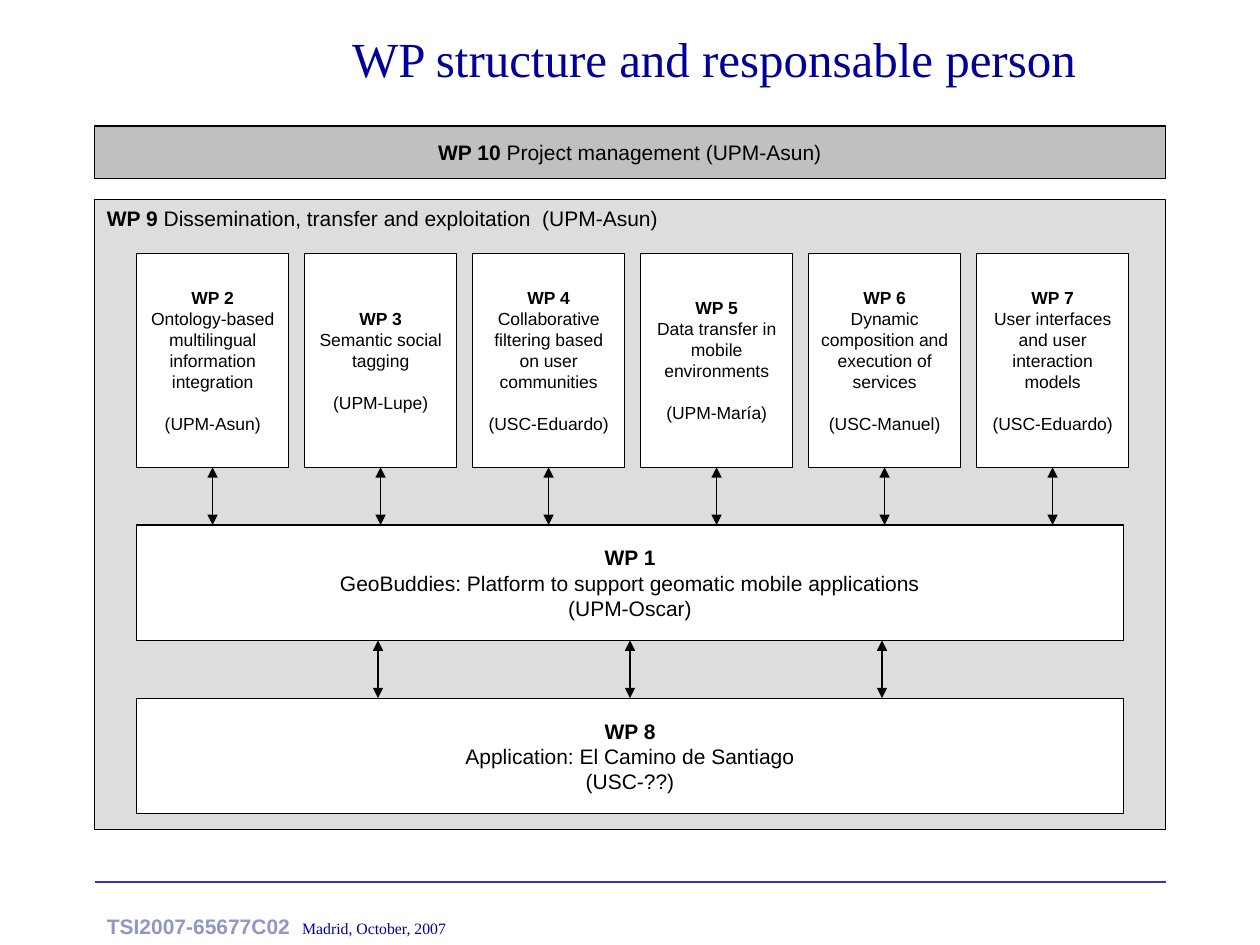
"""Build the slide on work packages and the people in charge of them."""
from lxml import etree
from pptx import Presentation, util as u
from pptx.dml.color import RGBColor
from pptx.enum import shapes, text
from pptx.oxml import ns

BLACK = RGBColor(0x00, 0x00, 0x00)
WHITE = RGBColor(0xFF, 0xFF, 0xFF)
PALE = RGBColor(0xDD, 0xDD, 0xDD)
GREY = RGBColor(0xC0, 0xC0, 0xC0)
NAVY = RGBColor(0x00, 0x00, 0x99)
BLUE = RGBColor(0x33, 0x33, 0xCC)
LILAC = RGBColor(0x90, 0x96, 0xCA)

UNIT = u.Inches(10) / 120
SANS, SERIF = "Arial", "Times New Roman"
MID, TOP = text.MSO_ANCHOR.MIDDLE, text.MSO_ANCHOR.TOP
CENTER, LEFT = text.PP_ALIGN.CENTER, text.PP_ALIGN.LEFT

TASKS = [
    ("WP 2", "Ontology-based", "multilingual information integration", "(UPM-Asun)"),
    ("WP 3", "Semantic social tagging", "(UPM-Lupe)"),
    ("WP 4", "Collaborative filtering based on user communities", "(USC-Eduardo)"),
    ("WP 5", "Data transfer in mobile environments", "(UPM-María)"),
    ("WP 6", "Dynamic composition and execution of services", "(USC-Manuel)"),
    ("WP 7", "User interfaces and user interaction models", "(USC-Eduardo)"),
]
BASE = ("WP 1", "GeoBuddies: Platform to support geomatic mobile applications", "(UPM-Oscar)")
CASE = ("WP 8", "Application: El Camino de Santiago", "(USC-??)")


def grid(*cells):
    """Turn columns and rows into lengths."""
    return [u.Emu(round(cell * UNIT)) for cell in cells]


def write(frame, lines, size=12, font=SANS, color=BLACK, align=CENTER,
          anchor=MID, wrap=True, gap=0):
    """Write lines of (words, format) runs into a text frame."""
    frame.word_wrap = wrap
    frame.auto_size = text.MSO_AUTO_SIZE.NONE
    frame.vertical_anchor = anchor
    for num, line in enumerate(lines):
        para = frame.add_paragraph() if num else frame.paragraphs[0]
        para.alignment = align
        for words, form in line:
            run = para.add_run()
            run.text = words
            run.font.size = u.Pt(form.get("size", size))
            run.font.name = form.get("font", font)
            run.font.bold = form.get("bold", False)
            run.font.color.rgb = form.get("color", color)
    if gap:
        frame.paragraphs[-1].space_before = u.Pt(gap)


def stack(words):
    """Make one line of each string, the first one bold."""
    return [[(word, {"bold": num == 0})] for num, word in enumerate(words)]


def block(slide, area, fill, lines, **form):
    """Draw a filled rectangle with text."""
    rect = slide.shapes.add_shape(shapes.MSO_SHAPE.RECTANGLE, *grid(*area))
    rect.shadow.inherit = False
    rect.fill.solid()
    rect.fill.fore_color.rgb = fill
    rect.line.color.rgb = BLACK
    rect.line.width = u.Pt(0.75)
    write(rect.text_frame, lines, **form)
    return rect


def rule(slide, start, end, color):
    """Draw a thin straight line."""
    line = slide.shapes.add_connector(
        shapes.MSO_CONNECTOR.STRAIGHT, *grid(*start, *end))
    line.line.color.rgb = color
    line.line.width = u.Pt(0.75)
    etree.SubElement(line.element.spPr, ns.qn("a:effectLst"))
    return line


def arrow(slide, col, top, low):
    """Draw an upright arrow with two heads."""
    line = rule(slide, (col, top), (col, low), BLACK)
    for end in ("a:headEnd", "a:tailEnd"):
        etree.SubElement(line.line._get_or_add_ln(), ns.qn(end), type="triangle")
    return line


def head(slide, area):
    """Place the title."""
    title = slide.shapes.title
    title.left, title.top, title.width, title.height = grid(*area)
    write(title.text_frame, [[("WP structure and responsable person", {})]],
          size=28, font=SERIF, color=NAVY)


def tasks(slide, area):
    """Place the row of task cards, each with an arrow to the row below."""
    left, top, wide, tall = area
    step = wide / len(TASKS)
    for num, task in enumerate(TASKS):
        col = left + num * step
        card = block(slide, (col, top, 14.5, tall), WHITE, stack(task), size=10, gap=12)
        link = arrow(slide, col + 7.25, top + tall, top + tall + 5.5)
        link.begin_connect(card, 2)


def plan(slide, area):
    """Place the panel with its cards, platform and application."""
    left, top, wide, tall = area
    name = [("WP 9 ", {"bold": True}),
            ("Dissemination, transfer and exploitation  (UPM-Asun)", {})]
    block(slide, area, PALE, [name], align=LEFT, anchor=TOP)
    inset, span, deep = left + 4, wide - 8, 11
    upper, lower = top + 31, top + 47.5
    base = block(slide, (inset, upper, span, deep), WHITE, stack(BASE))
    case = block(slide, (inset, lower, span, deep), WHITE, stack(CASE))
    for shift in (-24, 0, 24):
        link = arrow(slide, left + wide / 2 + shift, upper + deep, lower)
        if shift == 0:
            link.begin_connect(base, 2)
            link.end_connect(case, 0)
    tasks(slide, (inset, top + 5.15, 96, 20.35))


def foot(slide, area):
    """Place the rule and the project line under it."""
    left, top, wide, tall = area
    rule(slide, (left, top), (left + wide, top), BLUE)
    note = slide.shapes.add_textbox(*grid(left, top + 2.4, 34.7, tall - 2.4))
    line = [("TSI2007-65677C02", {"bold": True, "color": LILAC}),
            ("\tMadrid, October, 2007", {"size": 9, "font": SERIF})]
    write(note.text_frame, [line], color=NAVY, align=LEFT, anchor=TOP, wrap=False)
    props = note.text_frame.paragraphs[0]._p.get_or_add_pPr()
    tabs = etree.SubElement(props, ns.qn("a:tabLst"))
    etree.SubElement(tabs, ns.qn("a:tab"), pos=str(u.Inches(1.55)), algn="l")


def main():
    """Build and save the deck."""
    deck = Presentation()
    deck.slide_width, deck.slide_height = grid(120, 90)
    slide = deck.slides.add_slide(deck.slide_layouts[5])
    head(slide, (17, -2, 102, 15))
    lead = [("WP 10 ", {"bold": True}), ("Project management (UPM-Asun)", {})]
    block(slide, (9, 12, 102, 5), GREY, [lead])
    plan(slide, (9, 19, 102, 60))
    foot(slide, (9, 84, 102, 6))
    deck.save("out.pptx")


if __name__ == "__main__":
    main()
